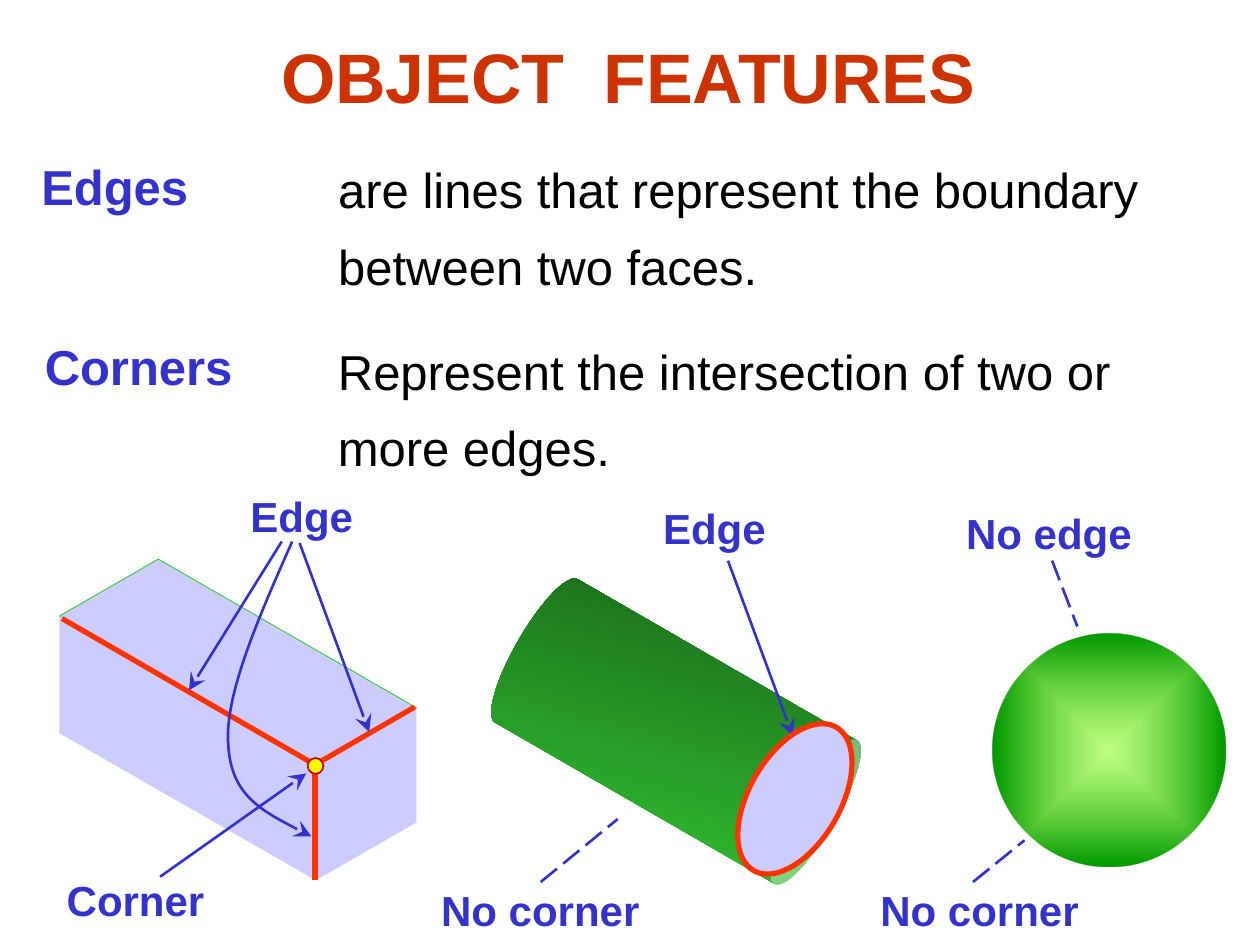
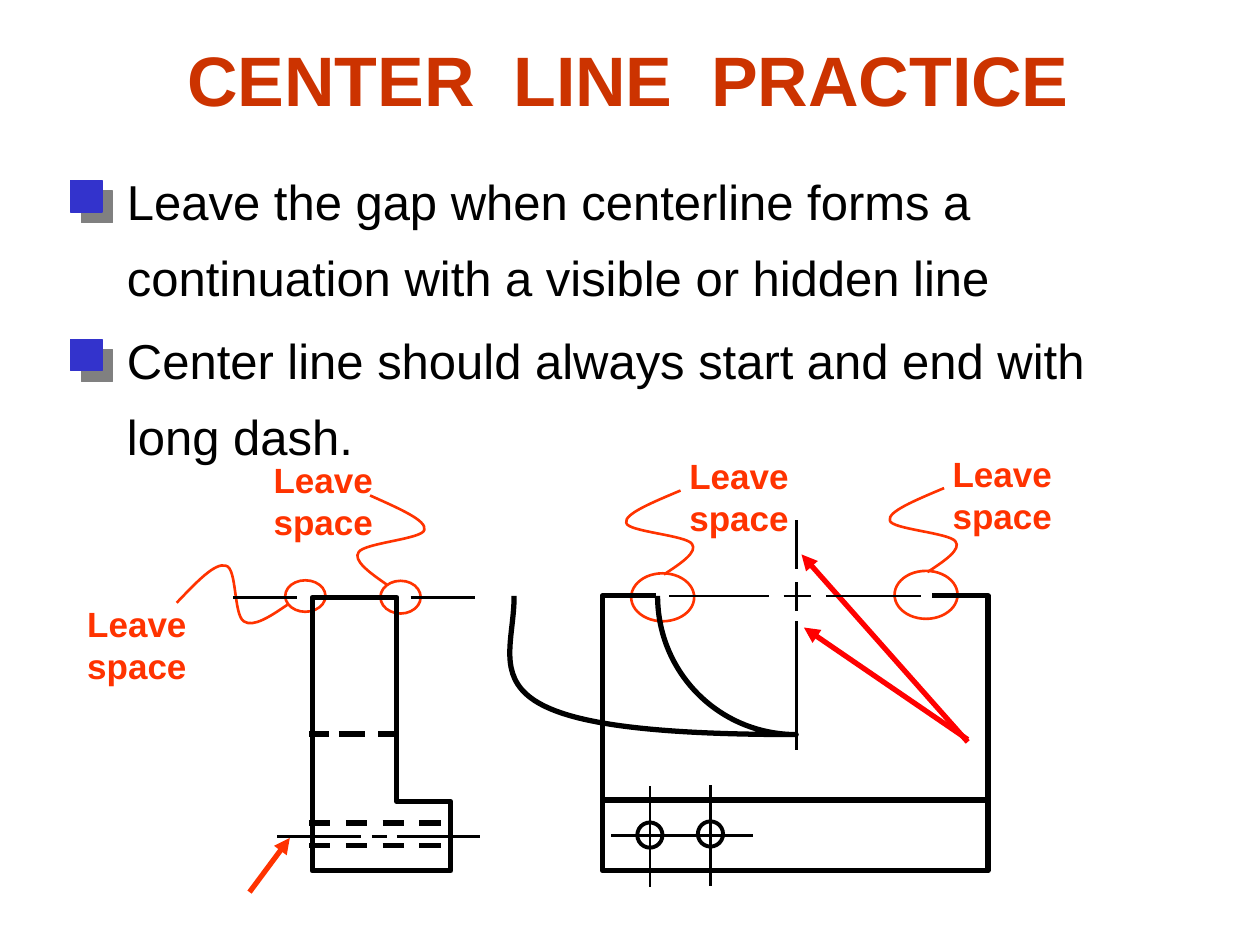
import itertools

import pptx
import pptx.dml.color
import pptx.enum.dml
import pptx.enum.shapes
import pptx.enum.text
import pptx.oxml
import pptx.oxml.ns
import pptx.util

Pt = pptx.util.Pt
SHAPE = pptx.enum.shapes.MSO_SHAPE
DASH = pptx.enum.dml.MSO_LINE
ALIGN = pptx.enum.text.PP_ALIGN
ANCHOR = pptx.enum.text.MSO_ANCHOR
qn = pptx.oxml.ns.qn

FONT = "Arial"
COLORS = {
    "title": "CC3300", "term": "3333CC", "body": "000000", "note": "FF3300",
    "pointer": "FF0000", "face": "CCCCFF", "rim": "33CC33", "shade": "185E18",
    "glow": "99FF33", "deep": "009900", "dot": "FFFF00", "dot_rim": "CC0000",
    "shadow": "808080",
}
# Leader squiggle: three Bezier pieces, relative to its start
WAVE = [
    [(10, -6.5), (19.5, -13), (16, -17.5)],
    [(12.5, -22.5), (-21, -24.5), (-21.5, -29.5)],
    [(-23, -34.5), (-7, -41), (9.5, -48)],
]


def rgb(name):
    return pptx.dml.color.RGBColor.from_string(COLORS[name])


def element(tag, *children, **attributes):
    """A drawing element a:tag with its attributes and children."""
    made = pptx.oxml.parse_xml(f"<a:{tag} {pptx.oxml.ns.nsdecls('a')}/>")
    for name, value in attributes.items():
        made.set(name, str(value))
    made.extend(children)
    return made


class Drawing:
    def __init__(self):
        self.deck = pptx.Presentation()
        self.deck.slide_width, self.deck.slide_height = Pt(720), Pt(540)
        self.shapes = None

    def new_slide(self, title, middle):
        self.shapes = self.deck.slides.add_slide(self.deck.slide_layouts[6]).shapes
        self.text(title, (53, middle - 30, 612, 60), size=40, color="title", bold=True,
                  align=ALIGN.CENTER, anchor=ANCHOR.MIDDLE)

    def text(self, words, box, size=28, color="body", bold=False, align=ALIGN.LEFT,
             anchor=ANCHOR.TOP, spacing=None, wrap=True):
        frame = self.shapes.add_textbox(*map(Pt, box)).text_frame
        frame.word_wrap = wrap
        if not wrap:
            frame.auto_size = pptx.enum.text.MSO_AUTO_SIZE.SHAPE_TO_FIT_TEXT
        frame.vertical_anchor = anchor
        paragraph = frame.paragraphs[0]
        paragraph.text = words
        paragraph.alignment = align
        paragraph.line_spacing = spacing
        for run in paragraph.runs:
            font = run.font
            font.name, font.size, font.bold = FONT, Pt(size), bold
            font.color.rgb = rgb(color)

    def term(self, words, left, top, width):
        self.text(words, (left, top, width, 41), color="term", bold=True)

    def label(self, words, left, top, width):
        self.text(words, (left, top, width, 36), size=24, color="term", bold=True,
                  wrap=False)

    def stroke(self, line, color, width, dash=None):
        line.color.rgb = rgb(color)
        line.width = Pt(width)
        if dash:
            line.dash_style = dash

    def paint(self, shape, fill=None, line=None, width=1.5):
        shape.shadow.inherit = False
        if fill:
            shape.fill.solid()
            shape.fill.fore_color.rgb = rgb(fill)
        else:
            shape.fill.background()
        if line:
            self.stroke(shape.line, line, width)
        else:
            shape.line.fill.background()
        return shape

    def arrowhead(self, item, kind):
        size = "lg" if kind == "stealth" else "med"
        item._element.spPr.find(qn("a:ln")).append(
            element("tailEnd", type=kind, w=size, len=size))

    def shape(self, kind, box, rotation=0, **look):
        shape = self.shapes.add_shape(kind, *map(Pt, box))
        shape.rotation = rotation
        return self.paint(shape, **look)

    def gradient(self, shape, first, last, angle=0):
        """Two-colour gradient, fixed to the page; returns its element."""
        shape.fill.gradient()
        shape.fill.gradient_angle = angle
        for stop, color, position in zip(shape.fill.gradient_stops, (first, last), (0, 1)):
            stop.color.rgb = rgb(color)
            stop.position = position
        fill = shape._element.spPr.find(qn("a:gradFill"))
        fill.set("rotWithShape", "0")
        return fill

    def outline(self, points, closed=False, **look):
        corners = [(Pt(x), Pt(y)) for x, y in points]
        builder = self.shapes.build_freeform(*corners[0])
        builder.add_line_segments(corners[1:], close=closed)
        return self.paint(builder.convert_to_shape(), **look)

    def curve(self, start, pieces, box=None, arrow=None, **look):
        """Joined cubic Bezier pieces, in a frame that spans their points or is given."""
        points = [start, *itertools.chain(*pieces)]
        shape = self.outline(points, **look)
        if box:
            shape.left, shape.top, shape.width, shape.height = map(Pt, box)

        def local(point):
            x, y = point
            return element("pt", x=Pt(x) - shape.left, y=Pt(y) - shape.top)

        path = shape._element.spPr.find(".//" + qn("a:path"))
        for old in list(path):
            path.remove(old)
        path.set("w", str(shape.width))
        path.set("h", str(shape.height))
        path.append(element("moveTo", local(start)))
        path.extend([element("cubicBezTo", *map(local, piece)) for piece in pieces])
        if arrow:
            self.arrowhead(shape, arrow)

    def line(self, start, end, color="body", width=1.5, dash=None, arrow=None):
        line = self.shapes.add_connector(pptx.enum.shapes.MSO_CONNECTOR.STRAIGHT,
                                         *map(Pt, start + end))
        self.stroke(line.line, color, width, dash)
        if arrow:
            self.arrowhead(line, arrow)
        line._element.spPr.append(element("effectLst"))

    def across(self, y, *spans, **look):
        for left, right in spans:
            self.line((left, y), (right, y), **look)

    def down(self, x, *spans, **look):
        for top, bottom in spans:
            self.line((x, top), (x, bottom), **look)

    def bullet(self, words, top):
        self.text(words, (65.5, top, 643, 95), spacing=1.3)
        square = self.shape(SHAPE.RECTANGLE, (40.4, top + 18.9, 18, 18), fill="term",
                            line="term", width=0.75)
        square._element.spPr.find(qn("a:effectLst")).append(
            element("outerShdw", element("srgbClr", val=COLORS["shadow"]),
                    dist=Pt(8.5), dir=2700000, algn="ctr", rotWithShape=0))

    def callout(self, oval, start, label, turn=(1, 0, 0, 1)):
        """Oval, squiggle (WAVE under the 2 x 2 matrix turn) and label."""
        a, b, c, d = turn
        wave = [[(start[0] + a * x + b * y, start[1] + c * x + d * y) for x, y in piece]
                for piece in WAVE]
        self.shape(SHAPE.OVAL, oval, line="note")
        self.curve(start, wave, line="note")
        self.text("Leave\nspace", label + (71.5, 55.5), size=20, color="note", bold=True,
                  align=ALIGN.CENTER, wrap=False)


def object_features(draw):
    draw.new_slide("OBJECT  FEATURES", 43.2)
    draw.term("Edges", 16.5, 85.8, 111.5)
    draw.term("Corners", 18.5, 188.5, 129)
    for words, box in (
            ("are lines that represent the boundary\nbetween two faces.", (186.2, 77.7, 473, 95)),
            ("Represent the intersection of two or\nmore edges.", (186, 181.5, 458, 95))):
        draw.text(words, box, spacing=1.3, wrap=False)

    # Block
    corner, foot = (180.5, 437), (180.5, 503)
    left, right = (34, 352), (238, 404.5)
    draw.outline([corner, left, (90.5, 319.5), right], closed=True, fill="face",
                 line="rim", width=0.5)
    draw.outline([corner, foot, (238, 470), right], closed=True, fill="face")
    draw.outline([corner, left, (34, 419), foot], closed=True, fill="face")
    for end in ((35.5, 353.5), (237, 404), (180, 503)):
        draw.line((180, 437), end, color="note", width=3)
    draw.shape(SHAPE.OVAL, (175.8, 433.2, 9, 9), fill="dot", line="dot_rim", width=1)

    # Cylinder and sphere
    cylinder = draw.shape(SHAPE.CAN, (339, 314, 94.5, 208), rotation=120)
    cylinder.adjustments[0] = 0.25
    draw.gradient(cylinder, "rim", "shade", angle=75)
    sphere = draw.shape(SHAPE.OVAL, (567.5, 362, 133, 133))
    glow = draw.gradient(sphere, "glow", "deep")
    glow.find(".//" + qn("a:srgbClr")).append(element("alpha", val=60000))
    centre = element("fillToRect", l=50000, t=50000, r=50000, b=50000)
    glow.replace(glow.find(qn("a:lin")), element("path", centre, path="rect"))

    # Pointers and labels
    for start, end in (((161, 309.5), (108, 394.5)), ((171.2, 310.3), (211, 418.3)),
                       ((91.5, 501), (175, 442)), ((416, 320.4), (453, 420.5))):
        draw.line(start, end, color="term", arrow="stealth")
    draw.curve((167, 309.5), [[(147.5, 353.5), (128, 398), (130.5, 426)],
                              [(132, 454.5), (155, 466.5), (178, 478)]],
               line="term", arrow="stealth")
    draw.shape(SHAPE.OVAL, (407, 430.5, 94.5, 52), rotation=300, fill="face",
               line="note", width=3)
    for start, end in (((601.2, 320.4), (615.6, 358)), ((309, 504), (353, 468)),
                       ((556, 504), (585.4, 480.2))):
        draw.line(start, end, color="term", dash=DASH.LONG_DASH)
    for words, x, y, width in (
            ("Edge", 136, 276.5, 73), ("Corner", 31, 496.2, 93), ("Edge", 371.8, 283.5, 73),
            ("No edge", 545, 286.5, 109), ("No corner", 245, 502, 127.5),
            ("No corner", 496, 502, 127.5)):
        draw.label(words, x, y, width)


def center_line_practice(draw):
    draw.new_slide("CENTER  LINE  PRACTICE", 45)
    draw.bullet("Leave the gap when centerline forms a continuation with a visible "
                "or hidden line", 84.3)
    draw.bullet("Center line should always start and end with\nlong dash.", 175)

    draw.callout((511.2, 326.2, 36, 27.4), (530, 326.9), (537, 255))
    draw.callout((360.7, 327.6, 36, 27.4), (379.4, 328.3), (386.6, 256.3))
    draw.callout((217.4, 331.9, 23, 18.7), (221, 334), (149, 258.5), turn=(-1, 0, 0, 1.06))
    draw.callout((163, 331.6, 23, 18), (164.2, 345.6), (42.5, 340.6),
                 turn=(-0.14, 1.29, 0.79, 0.18))
    draw.line((142.6, 509.8), (165.6, 478.8), color="note", width=3, arrow="triangle")
    for start, end in (((553, 422.6), (459.4, 358.6)), ((553, 424), (458, 316.8))):
        draw.line(start, end, color="pointer", width=3, arrow="triangle")

    # Front view
    draw.down(455.2, (297.4, 325.4), (332.6, 349.2), (355, 428.4))
    draw.across(340.5, (382.4, 439.2), (447.8, 463.7), (472.3, 526.3))
    draw.outline([(375, 340.5), (344.2, 340.5), (344.2, 497.6), (564.6, 497.6),
                  (564.6, 340.5), (532.8, 340.5)], line="body", width=3)
    draw.curve((375.8, 340.5), [[(375.8, 384.5), (411.1, 419.8), (455, 419.8)],
                                [(258.5, 419.8), (293.8, 384.5), (293.8, 340.5)]],
               box=(375.8, 340.5, 158.4, 79.2), line="body", width=3)
    draw.across(457.2, (344.2, 564.6), width=3)
    draw.across(477.4, (349.2, 430.5))
    for hole, middle in ((371.4, 478), (406, 477.4)):
        draw.shape(SHAPE.OVAL, (hole - 7.2, middle - 8, 14.4, 14.4), line="body", width=2.25)
        draw.down(hole, (middle - 28.6, middle + 29))

    # Side view
    draw.across(341.4, (133.2, 169.9), (234.7, 271.4))
    draw.outline([(178.4, 341.4), (226.8, 341.4), (226.8, 458), (257.6, 458),
                  (257.6, 497.6), (178.4, 497.6)], closed=True, line="body", width=3)
    for hidden in (470.3, 483.2):
        draw.across(hidden, (176.6, 257.6), width=3, dash=DASH.DASH)
    draw.across(419.5, (176.6, 188), (193.7, 208.8), (216, 227.5), width=3)
    draw.across(478, (158.5, 206.5), (212.5, 221), (226.8, 274.5))


def main():
    draw = Drawing()
    object_features(draw)
    center_line_practice(draw)
    draw.deck.save("out.pptx")


if __name__ == "__main__":
    main()
